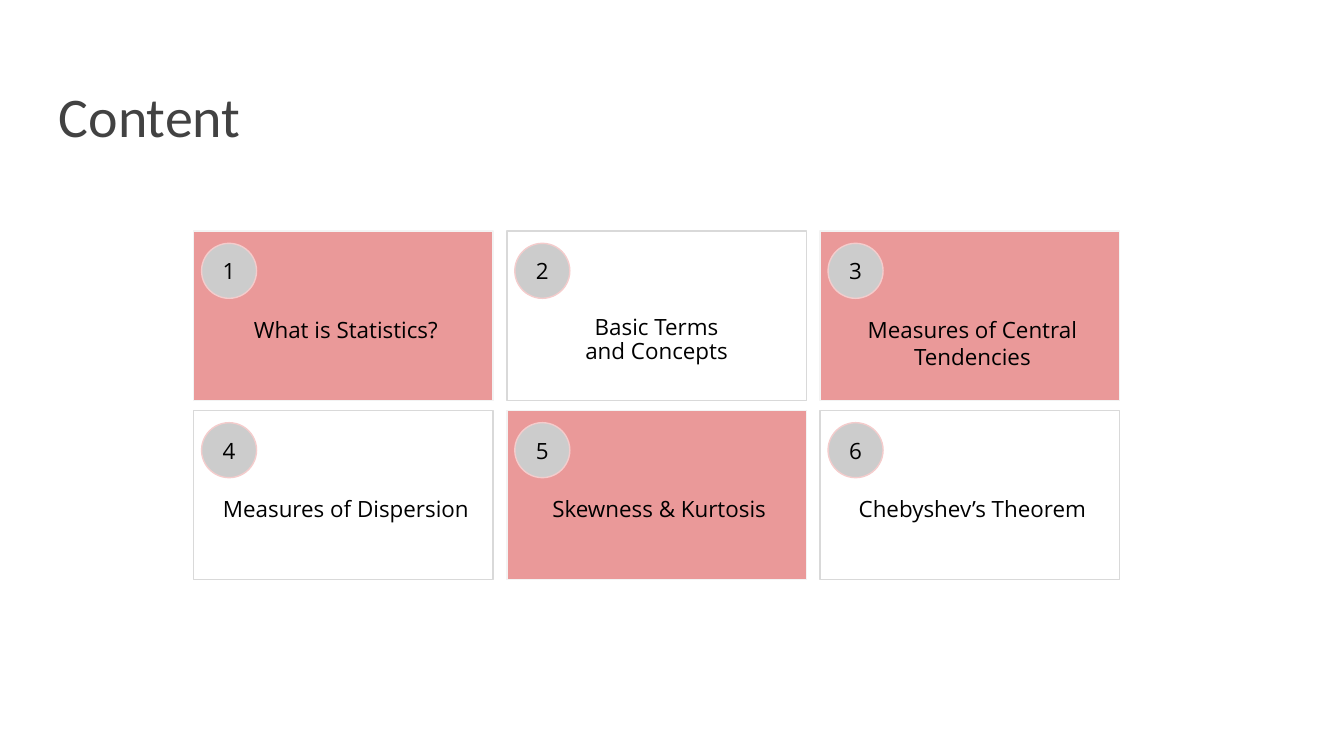
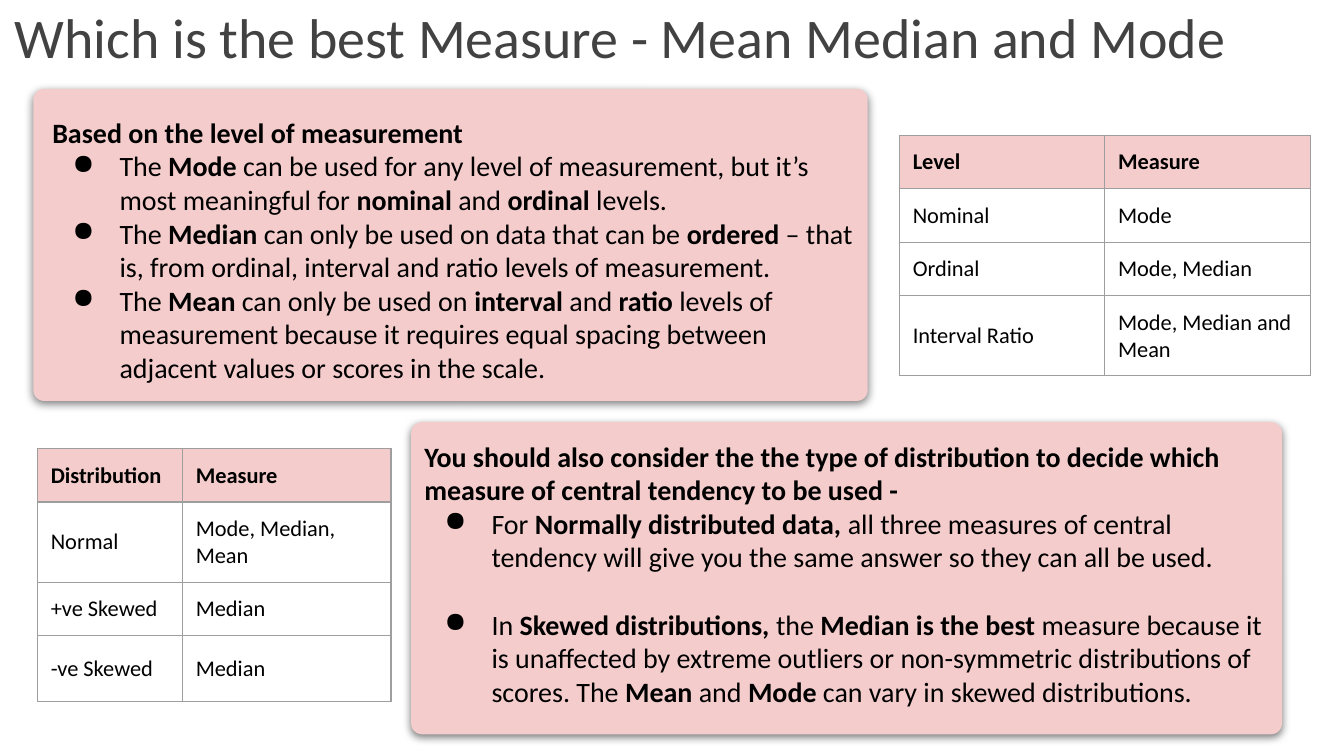
from lxml import etree
from pptx import Presentation, util as u
from pptx.dml.color import RGBColor
from pptx.enum import shapes, text
from pptx.oxml import parse_xml
from pptx.oxml.ns import nsdecls, qn

BODY, HEADING = "Calibri", "Open Sans"
BLACK, TITLE_GREY, BORDER_GREY = "000000", "424242", "9E9E9E"
ROSE, PALE_ROSE, BADGE_GREY = "EA9999", "F4CCCC", "CCCCCC"
INSET = u.Cm(0.25)

TOPICS = [
    ["What is Statistics?"],
    ["Basic Terms", "and Concepts"],
    ["Measures of Central Tendencies"],
    ["Measures of Dispersion"],
    ["Skewness & Kurtosis"],
    ["Chebyshev’s Theorem"],
]
LEVEL_ADVICE = [
    "The **Mode** can be used for any level of measurement, but it’s most meaningful for "
    "**nominal** and **ordinal** levels.",
    "The **Median** can only be used on data that can be **ordered** – that is, from ordinal, "
    "interval and ratio levels of measurement.",
    "The **Mean** can only be used on **interval **and** ratio** levels of measurement because "
    "it requires equal spacing between adjacent values or scores in the scale.",
]
DISTRIBUTION_ADVICE = [
    "For **Normally distributed data,** all three measures of central tendency will give you "
    "the same answer so they can all be used.",
    "In **Skewed distributions,** the **Median is the best** measure because it is unaffected "
    "by extreme outliers or non-symmetric distributions of scores. The **Mean** and **Mode** "
    "can vary in skewed distributions.",
]
LEVELS = [
    ("Level", "Measure"),
    ("Nominal", "Mode"),
    ("Ordinal", "Mode, Median"),
    ("Interval Ratio", "Mode, Median and Mean"),
]
DISTRIBUTIONS = [
    ("Distribution", "Measure"),
    ("Normal", "Mode, Median, Mean"),
    ("+ve Skewed", "Median"),
    ("-ve Skewed", "Median"),
]


def colour(hex_code):
    """Turn a hex string into a colour."""
    return RGBColor.from_string(hex_code)


def box(left, top, width, height):
    """Return a position and size given in centimetres as lengths."""
    return [u.Cm(value) for value in (left, top, width, height)]


def style(paragraph, font, size, ink=BLACK, bold=False):
    """Set the font of a whole paragraph."""
    paragraph.font.name = font
    paragraph.font.size = u.Pt(size)
    paragraph.font.color.rgb = colour(ink)
    paragraph.font.bold = bold


def set_insets(holder):
    """Give a text frame or a table cell the shared margins."""
    holder.margin_left = holder.margin_right = INSET
    holder.margin_top = holder.margin_bottom = INSET


def add_text_frame(slide, place):
    """Add a wrapping text box and return its frame."""
    frame = slide.shapes.add_textbox(*place).text_frame
    frame.word_wrap = True
    set_insets(frame)
    return frame


def add_title(slide, title, place):
    """Add the slide title."""
    frame = add_text_frame(slide, place)
    frame.vertical_anchor = text.MSO_ANCHOR.BOTTOM
    frame.text = title
    style(frame.paragraphs[0], BODY, 30, TITLE_GREY)


def add_outline(slide, preset, place, fill=None, line=None):
    """Add a preset shape with an optional fill and thin line."""
    shape = slide.shapes.add_shape(preset, *place)
    shape.shadow.inherit = False
    if fill:
        shape.fill.solid()
        shape.fill.fore_color.rgb = colour(fill)
    else:
        shape.fill.background()
    if line:
        shape.line.color.rgb = colour(line)
        shape.line.width = u.Pt(0.75)
    else:
        shape.line.fill.background()
    return shape


def add_badge(slide, number, left, top):
    """Add a numbered circle."""
    badge = add_outline(slide, shapes.MSO_SHAPE.OVAL, box(left, top, 1.04, 1.04),
                        BADGE_GREY, PALE_ROSE)
    frame = badge.text_frame
    set_insets(frame)
    frame.word_wrap = False
    frame.vertical_anchor = text.MSO_ANCHOR.MIDDLE
    frame.text = str(number)
    frame.paragraphs[0].alignment = text.PP_ALIGN.CENTER
    style(frame.paragraphs[0], HEADING, 12)


def add_topic(slide, index, lines):
    """Add one numbered card of the contents grid."""
    row, column = divmod(index, 3)
    width = 5.66
    left, top = 3.66 + column * 5.92, 4.37 + row * 3.39
    fill, line = (ROSE, "F3F3F3") if index % 2 == 0 else (None, "D9D9D9")
    add_outline(slide, shapes.MSO_SHAPE.RECTANGLE, box(left, top, width, 3.2), fill, line)
    add_badge(slide, index + 1, left + 0.15, top + 0.23)

    split = len(lines) > 1
    label = box(left + 0.3, top + 1.35, width - 0.6, 1.04) if split else \
        box(left + 0.1, top + 1.35, width - 0.1, 1.85)
    frame = add_text_frame(slide, label)
    frame.text = "\n".join(lines)
    for paragraph in frame.paragraphs:
        paragraph.alignment = text.PP_ALIGN.CENTER
        if split:
            paragraph.line_spacing = 0.9
        style(paragraph, HEADING, 12)


def add_panel(slide, place):
    """Add a pale rounded panel with a soft shadow below it."""
    panel = add_outline(slide, shapes.MSO_SHAPE.ROUNDED_RECTANGLE, place, PALE_ROSE)
    panel.adjustments[0] = 0.035
    effects = panel._element.spPr.find(qn("a:effectLst"))
    effects.append(parse_xml(
        f'<a:outerShdw {nsdecls("a")} blurRad="{u.Pt(4.5)}" dist="{u.Pt(1.5)}" dir="5400000" '
        f'algn="bl" rotWithShape="0"><a:srgbClr val="{BLACK}"><a:alpha val="50000"/>'
        '</a:srgbClr></a:outerShdw>'))


def add_bullet(paragraph):
    """Give a paragraph a round bullet and a hanging indent."""
    properties = paragraph._p.get_or_add_pPr()
    properties.set("marL", str(u.Cm(1.27)))
    properties.set("indent", str(-u.Cm(0.89)))
    bullet_colour = etree.SubElement(properties, qn("a:buClr"))
    etree.SubElement(bullet_colour, qn("a:srgbClr")).set("val", BLACK)
    etree.SubElement(properties, qn("a:buChar")).set("char", "●")


def add_advice(slide, place, heading, points, gap=0):
    """Add a bold heading with bullets whose **marked** words are bold."""
    frame = add_text_frame(slide, place)
    frame.text = heading
    style(frame.paragraphs[0], BODY, 15, bold=True)
    for number, point in enumerate(points):
        paragraph = frame.add_paragraph()
        add_bullet(paragraph)
        style(paragraph, BODY, 15)
        if number:
            paragraph.space_before = u.Pt(gap)
        for part, words in enumerate(point.split("**")):
            run = paragraph.add_run()
            run.text = words
            if part % 2:
                run.font.bold = True


def add_borders(cell):
    """Draw a thin grey line on every side of a cell."""
    properties = cell._tc.get_or_add_tcPr()
    for side in ("lnL", "lnR", "lnT", "lnB"):
        properties.append(parse_xml(
            f'<a:{side} {nsdecls("a")} w="{u.Pt(0.75)}"><a:solidFill>'
            f'<a:srgbClr val="{BORDER_GREY}"/></a:solidFill></a:{side}>'))


def add_measure_table(slide, left, top, widths, rows):
    """Add a two-column table with a pale header row."""
    heights = (0.89, 0.89, 0.99, 1.24)
    place = box(left, top, sum(widths), sum(heights))
    table = slide.shapes.add_table(len(rows), len(widths), *place).table
    table.first_row = table.horz_banding = False
    for column, width in zip(table.columns, widths):
        column.width = u.Cm(width)
    for row, height in zip(table.rows, heights):
        row.height = u.Cm(height)
    for r, values in enumerate(rows):
        for c, value in enumerate(values):
            cell = table.cell(r, c)
            add_borders(cell)
            if r == 0:
                cell.fill.solid()
                cell.fill.fore_color.rgb = colour(PALE_ROSE)
            else:
                cell.fill.background()
            set_insets(cell)
            cell.vertical_anchor = text.MSO_ANCHOR.MIDDLE
            cell.text = value
            style(cell.text_frame.paragraphs[0], BODY, 12, bold=r == 0)


def build_contents(slide):
    """Build the contents slide."""
    add_title(slide, "Content", box(0.86, 1.04, 23.67, 2.03))
    for index, lines in enumerate(TOPICS):
        add_topic(slide, index, lines)


def build_best_measure(slide):
    """Build the slide on choosing a measure of central tendency."""
    add_title(slide, "Which is the best Measure - Mean Median and Mode",
              box(0.03, -0.03, 23.67, 1.6))
    add_panel(slide, box(0.63, 1.68, 15.77, 5.9))
    add_panel(slide, box(7.77, 7.98, 16.46, 5.9))
    add_advice(slide, box(7.77, 8.05, 16.46, 5.64),
               "You should also consider the the type of distribution to decide which measure "
               "of central tendency to be used -", DISTRIBUTION_ADVICE, gap=18)
    add_advice(slide, box(0.74, 1.93, 15.77, 5.64),
               "Based on the level of measurement", LEVEL_ADVICE)
    add_measure_table(slide, 17, 2.56, (3.88, 3.88), LEVELS)
    add_measure_table(slide, 0.71, 8.48, (2.74, 3.94), DISTRIBUTIONS)


def main():
    """Build and save the presentation."""
    deck = Presentation()
    deck.slide_width, deck.slide_height = u.Cm(25.4), u.Cm(14.29)
    blank = deck.slide_layouts[6]
    for build in (build_contents, build_best_measure):
        build(deck.slides.add_slide(blank))
    deck.save("out.pptx")


if __name__ == "__main__":
    main()
